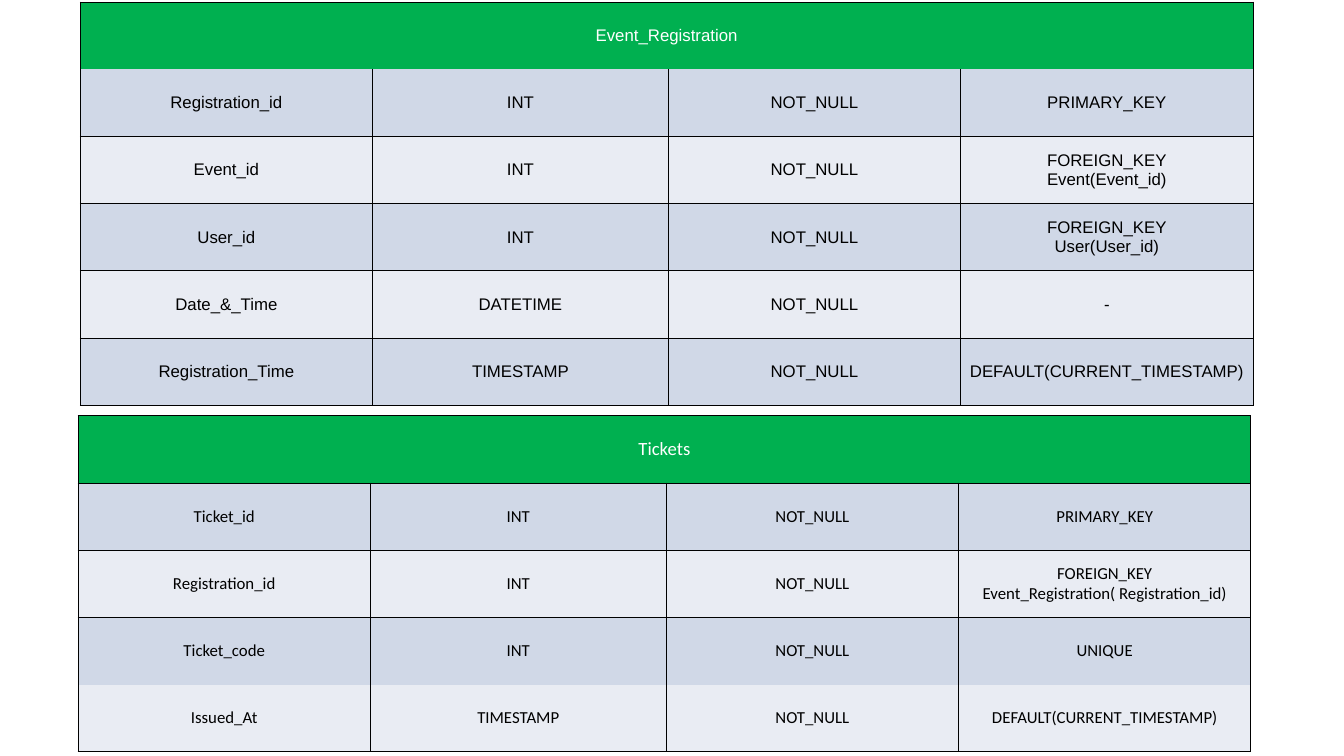
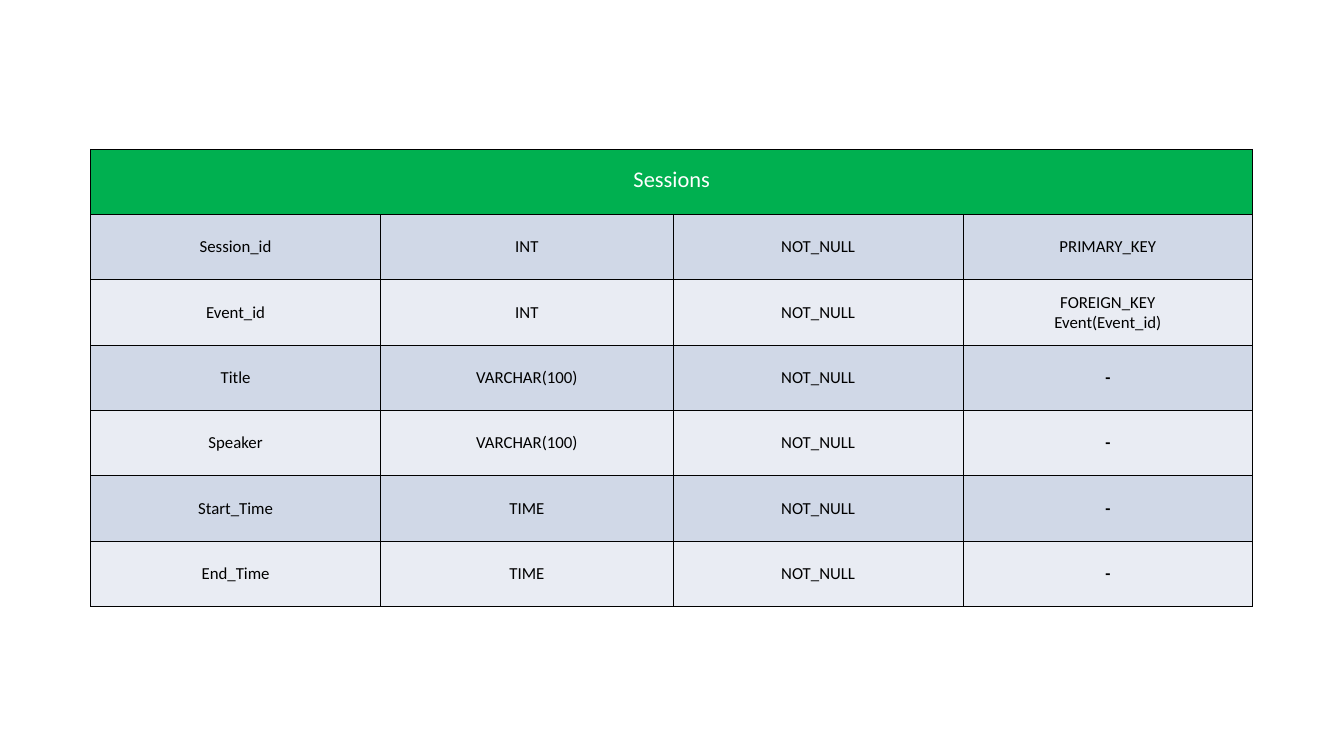
from dataclasses import dataclass

from lxml.etree import SubElement
from pptx import Presentation
from pptx.dml.color import RGBColor
from pptx.enum.text import MSO_ANCHOR as Anchor, PP_ALIGN as Align
from pptx.oxml.ns import qn
from pptx.util import Cm, Pt


@dataclass(frozen=True)
class Theme:
    header: str = "00B050"
    header_text: str = "FFFFFF"
    bands: tuple = ("D0D8E7", "E9ECF3")
    text: str = "000000"
    rule: str = "000000"
    rule_width: float = 0.96
    body_size: int = 18


INSET = {"margin_left": 0, "margin_right": 0, "margin_top": 0, "margin_bottom": 0,
         "vertical_anchor": Anchor.MIDDLE}
TOP_INSET = {"margin_left": Cm(0.25), "margin_right": Cm(0.25),
             "margin_top": Cm(0.13), "margin_bottom": Cm(0.13),
             "vertical_anchor": Anchor.TOP}
FOREIGN_KEY = "FOREIGN_KEY\n"
DEFAULT_TIME = "DEFAULT(CURRENT_TIMESTAMP)"

REGISTRATION_FIELDS = [
    ("Registration_id", "INT", "PRIMARY_KEY"),
    ("Event_id", "INT", FOREIGN_KEY + "Event(Event_id)"),
    ("User_id", "INT", FOREIGN_KEY + "User(User_id)"),
    ("Date_&_Time", "DATETIME", "-"),
    ("Registration_Time", "TIMESTAMP", DEFAULT_TIME),
]
TICKET_FIELDS = [
    ("Ticket_id", "INT", "PRIMARY_KEY"),
    ("Registration_id", "INT", FOREIGN_KEY + "Event_Registration( Registration_id)"),
    ("Ticket_code", "INT", "UNIQUE"),
    ("Issued_At", "TIMESTAMP", DEFAULT_TIME),
]
SESSION_FIELDS = [
    ("Session_id", "INT", "PRIMARY_KEY"),
    ("Event_id", "INT", FOREIGN_KEY + "Event(Event_id)"),
    ("Title", "VARCHAR(100)", "-"),
    ("Speaker", "VARCHAR(100)", "-"),
    ("Start_Time", "TIME", "-"),
    ("End_Time", "TIME", "-"),
]


class SchemaDeck:
    def __init__(self, theme):
        self.theme = theme
        self.deck = Presentation()
        self.deck.slide_width, self.deck.slide_height = Cm(50.8), Cm(28.58)
        self.slide = None

    def new_slide(self):
        self.slide = self.deck.slides.add_slide(self.deck.slide_layouts[6])

    def rule_cell(self, cell, open_edges):
        properties = cell._tc.get_or_add_tcPr()
        for edge in "LRTB":
            line = SubElement(properties, qn(f"a:ln{edge}"), w=str(Pt(self.theme.rule_width)))
            if edge in open_edges:
                SubElement(line, qn("a:noFill"))
            else:
                fill = SubElement(line, qn("a:solidFill"))
                SubElement(fill, qn("a:srgbClr"), val=self.theme.rule)

    def style_cell(self, cell, text, fill, color, size, font, layout=INSET, spacing=None,
                   bold=False, open_edges=""):
        self.rule_cell(cell, open_edges)
        cell.fill.solid()
        cell.fill.fore_color.rgb = RGBColor.from_string(fill)
        for name, value in layout.items():
            setattr(cell, name, value)
        cell.text = text
        for paragraph in cell.text_frame.paragraphs:
            paragraph.alignment = Align.CENTER
            paragraph.line_spacing = spacing
            for run in paragraph.runs:
                for name, value in {"name": font, "size": Pt(size), "bold": bold}.items():
                    setattr(run.font, name, value)
                run.font.color.rgb = RGBColor.from_string(color)

    def schema_table(self, title, fields, left, top, widths, row_height, font="Calibri",
                     title_size=18, title_layout=INSET, title_spacing=None,
                     open_row=None, bold_dash=False):
        row_count = len(fields) + 1
        table = self.slide.shapes.add_table(
            row_count, len(widths), Cm(left), Cm(top),
            Cm(sum(widths)), Cm(row_height * row_count)).table
        table.first_row = table.horz_banding = False
        for column, width in zip(table.columns, widths):
            column.width = Cm(width)
        for row in table.rows:
            row.height = Cm(row_height)

        open_edges = {open_row: "T", open_row - 1: "B"} if open_row else {}
        theme = self.theme
        table.cell(0, 0).merge(table.cell(0, len(widths) - 1))
        for column in range(len(widths)):
            self.style_cell(table.cell(0, column), "" if column else title, theme.header,
                            theme.header_text, title_size, font, title_layout,
                            title_spacing, open_edges=open_edges.get(0, ""))
        for row, (field, kind, constraint) in enumerate(fields, 1):
            band = theme.bands[(row - 1) % 2]
            for column, text in enumerate((field, kind, "NOT_NULL", constraint)):
                self.style_cell(table.cell(row, column), text, band, theme.text,
                                theme.body_size, font, bold=bold_dash and text == "-",
                                open_edges=open_edges.get(row, ""))

    def save(self):
        self.deck.save("out.pptx")


def main():
    schema = SchemaDeck(Theme())
    wide = (11.05, 11.18, 11.05, 11.05)

    schema.new_slide()
    schema.schema_table("Event_Registration", REGISTRATION_FIELDS, 3.03, 0.08, wide, 2.54,
                        font="Arial", open_row=1)
    schema.schema_table("Tickets", TICKET_FIELDS, 2.95, 15.72, wide, 2.54,
                        title_size=20, open_row=4)

    schema.new_slide()
    schema.schema_table("Sessions", SESSION_FIELDS, 3.43, 5.64, (10.95, 11.07, 10.95, 10.95),
                        2.47, title_size=24, title_layout=TOP_INSET, title_spacing=1.5,
                        bold_dash=True)
    schema.save()


if __name__ == "__main__":
    main()
